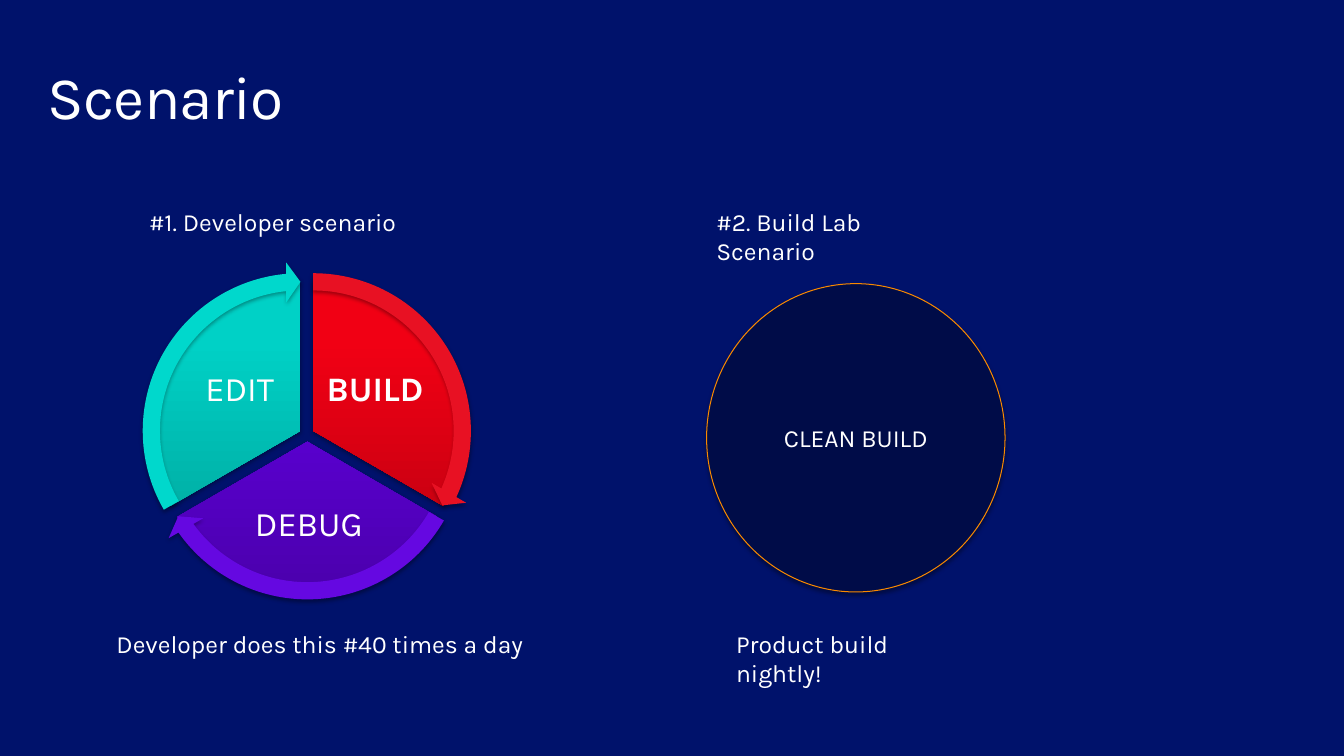
"""Build the Scenario slide: a developer cycle beside a nightly clean build."""
from copy import deepcopy

from lxml import etree
from pptx import Presentation
from pptx import util as u
from pptx.dml.color import RGBColor
from pptx.enum import shapes, text
from pptx.oxml import ns

FONT = "Karla"
WHITE = RGBColor(0xFF, 0xFF, 0xFF)
BACKGROUND = RGBColor(0x00, 0x12, 0x6B)
CIRCLE_FILL = RGBColor(0x00, 0x0C, 0x48)
CIRCLE_LINE = RGBColor(0xF9, 0x89, 0x00)
RED = RGBColor(0xE8, 0x11, 0x23)
RED_STOPS = [RGBColor(0xBA, 0x00, 0x10), RGBColor(0xF1, 0x00, 0x14), RGBColor(0xF2, 0x00, 0x14)]
PURPLE = RGBColor(0x65, 0x08, 0xE1)
PURPLE_STOPS = [RGBColor(0x4B, 0x00, 0xAD), RGBColor(0x61, 0x00, 0xE1), RGBColor(0x61, 0x00, 0xE2)]
TEAL = RGBColor(0x00, 0xD8, 0xCC)
TEAL_STOPS = [RGBColor(0x00, 0xA1, 0x98), RGBColor(0x00, 0xD1, 0xC6), RGBColor(0x00, 0xD2, 0xC7)]

PIE_SIZE = 3.04
ARROW_MARGIN = 0.19

STEPS = [
    ("BUILD", (1.65, 2.84), (162, 18), 14.725, RED, RED_STOPS, (3.25, 3.49, 1.09, 0.91)),
    ("DEBUG", (1.59, 2.95), (18, 90), 86.72, PURPLE, PURPLE_STOPS, (2.31, 4.92, 1.63, 0.8)),
    ("EDIT", (1.52, 2.84), (90, 162), 158.73, TEAL, TEAL_STOPS, (1.88, 3.49, 1.09, 0.91)),
]
CAPTIONS = [
    ("#1. Developer scenario", (1.41, 2.04, 2.79, 0.41)),
    ("#2. Build Lab Scenario", (7.15, 2.04, 2.71, 0.41)),
    ("Developer does this #40 times a day", (1.08, 6.31, 4.32, 0.41)),
    ("Product build nightly!", (7.35, 6.31, 2.66, 0.41)),
]


def write_text(shape, words, size=18, bold=False, align=text.PP_ALIGN.LEFT,
               anchor=text.MSO_ANCHOR.TOP, line_spacing=None, inset=None):
    """Put one formatted paragraph in a shape and return its run."""
    frame = shape.text_frame
    frame.word_wrap = True
    frame.auto_size = text.MSO_AUTO_SIZE.NONE
    frame.vertical_anchor = anchor
    if inset is not None:
        frame.margin_left = frame.margin_right = u.Inches(inset)
        frame.margin_top = frame.margin_bottom = u.Inches(inset)
    paragraph = frame.paragraphs[0]
    paragraph.alignment = align
    paragraph.line_spacing = line_spacing
    run = paragraph.add_run()
    run.text = words
    run.font.name = FONT
    run.font.size = u.Pt(size)
    run.font.bold = bold
    run.font.color.rgb = WHITE
    return run


def add_text(slide, words, box, **text_format):
    """Add a text box with one formatted paragraph."""
    write_text(slide.shapes.add_textbox(*map(u.Inches, box)), words, **text_format)


def add_shadow(shape):
    """Give a shape a soft shadow straight below it."""
    shape.shadow.inherit = False
    effects = shape._element.spPr.find(ns.qn("a:effectLst"))
    shadow = etree.SubElement(effects, ns.qn("a:outerShdw"), blurRad=str(u.Pt(3.1)),
                              dist=str(u.Pt(1.8)), dir="5400000", rotWithShape="0")
    color = etree.SubElement(shadow, ns.qn("a:srgbClr"), val="000000")
    etree.SubElement(color, ns.qn("a:alpha"), val="35000")


def add_shape(slide, kind, box, fill=None, adjustments=()):
    """Add a shadowed preset shape without an outline."""
    shape = slide.shapes.add_shape(kind, *map(u.Inches, box))
    for index, value in enumerate(adjustments):
        shape.adjustments[index] = value
    if fill is not None:
        shape.fill.solid()
        shape.fill.fore_color.rgb = fill
    shape.line.fill.background()
    add_shadow(shape)
    return shape


def fill_gradient(shape, colors):
    """Fill a shape with three colours running from bottom to top."""
    shape.fill.gradient()
    shape.fill.gradient_angle = 90
    stop_list = shape._element.spPr.find(".//" + ns.qn("a:gsLst"))
    stop_list.append(deepcopy(stop_list[-1]))
    for stop, color, position in zip(shape.fill.gradient_stops, colors, (0, 0.8, 1)):
        stop.color.rgb = color
        stop.position = position


def add_cycle(slide):
    """Draw the labelled wedges and the arrows around them."""
    for label, (left, top), angles, _, _, stops, label_box in STEPS:
        wedge = add_shape(slide, shapes.MSO_SHAPE.PIE, (left, top, PIE_SIZE, PIE_SIZE),
                          adjustments=angles)
        fill_gradient(wedge, stops)
        add_text(slide, label, label_box, size=25, bold=label == "BUILD", inset=0.03,
                 align=text.PP_ALIGN.CENTER, anchor=text.MSO_ANCHOR.MIDDLE, line_spacing=0.9)
    arrow_size = PIE_SIZE + 2 * ARROW_MARGIN
    for _, (left, top), (start, _), head, color, _, _ in STEPS:
        box = (left - ARROW_MARGIN, top - ARROW_MARGIN, arrow_size, arrow_size)
        add_shape(slide, shapes.MSO_SHAPE.CIRCULAR_ARROW, box, color,
                  (0.051, 3.275, head, start, 0.059))


def add_title(slide, words):
    """Place and format the title placeholder."""
    title = slide.shapes.title
    title.left, title.top, title.width, title.height = map(u.Inches, (0.38, -0.09, 10.81, 1.48))
    run = write_text(title, words, size=44, anchor=text.MSO_ANCHOR.BOTTOM, line_spacing=0.9)
    run.font._element.set("spc", "-50")


def add_clean_build(slide):
    """Draw the outlined circle of the build lab."""
    circle = add_shape(slide, shapes.MSO_SHAPE.OVAL, (7.15, 2.87, 3.02, 3.12), CIRCLE_FILL)
    circle.line.color.rgb = CIRCLE_LINE
    circle.line.width = u.Pt(0.75)
    write_text(circle, "CLEAN BUILD", align=text.PP_ALIGN.CENTER, anchor=text.MSO_ANCHOR.MIDDLE)


def main():
    """Build and save the presentation."""
    presentation = Presentation()
    presentation.slide_width = u.Inches(13.6)
    presentation.slide_height = u.Inches(7.65)
    slide = presentation.slides.add_slide(presentation.slide_layouts[5])
    slide.background.fill.solid()
    slide.background.fill.fore_color.rgb = BACKGROUND
    add_title(slide, "Scenario")
    add_cycle(slide)
    add_clean_build(slide)
    for words, box in CAPTIONS:
        add_text(slide, words, box)
    presentation.save("out.pptx")


if __name__ == "__main__":
    main()
